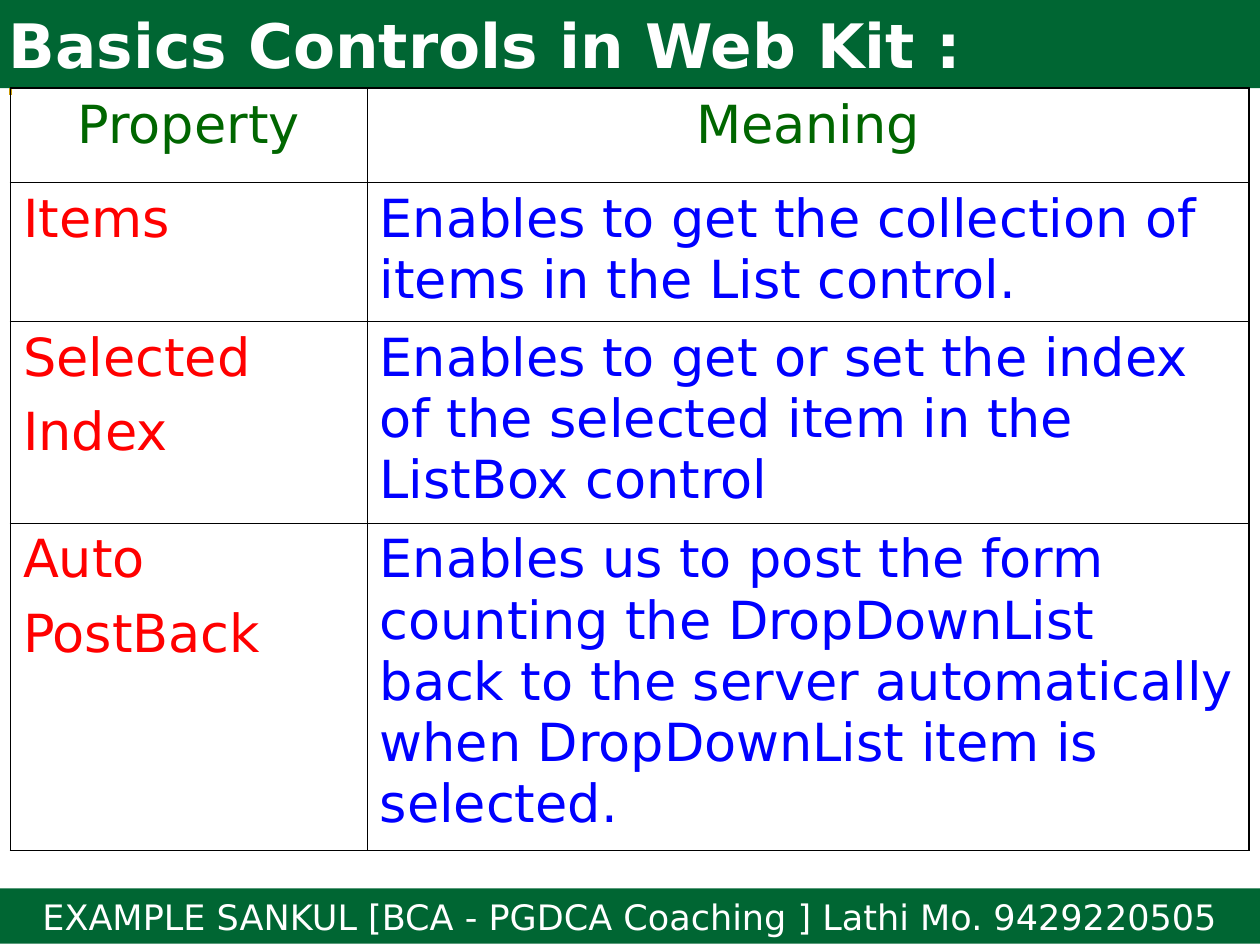
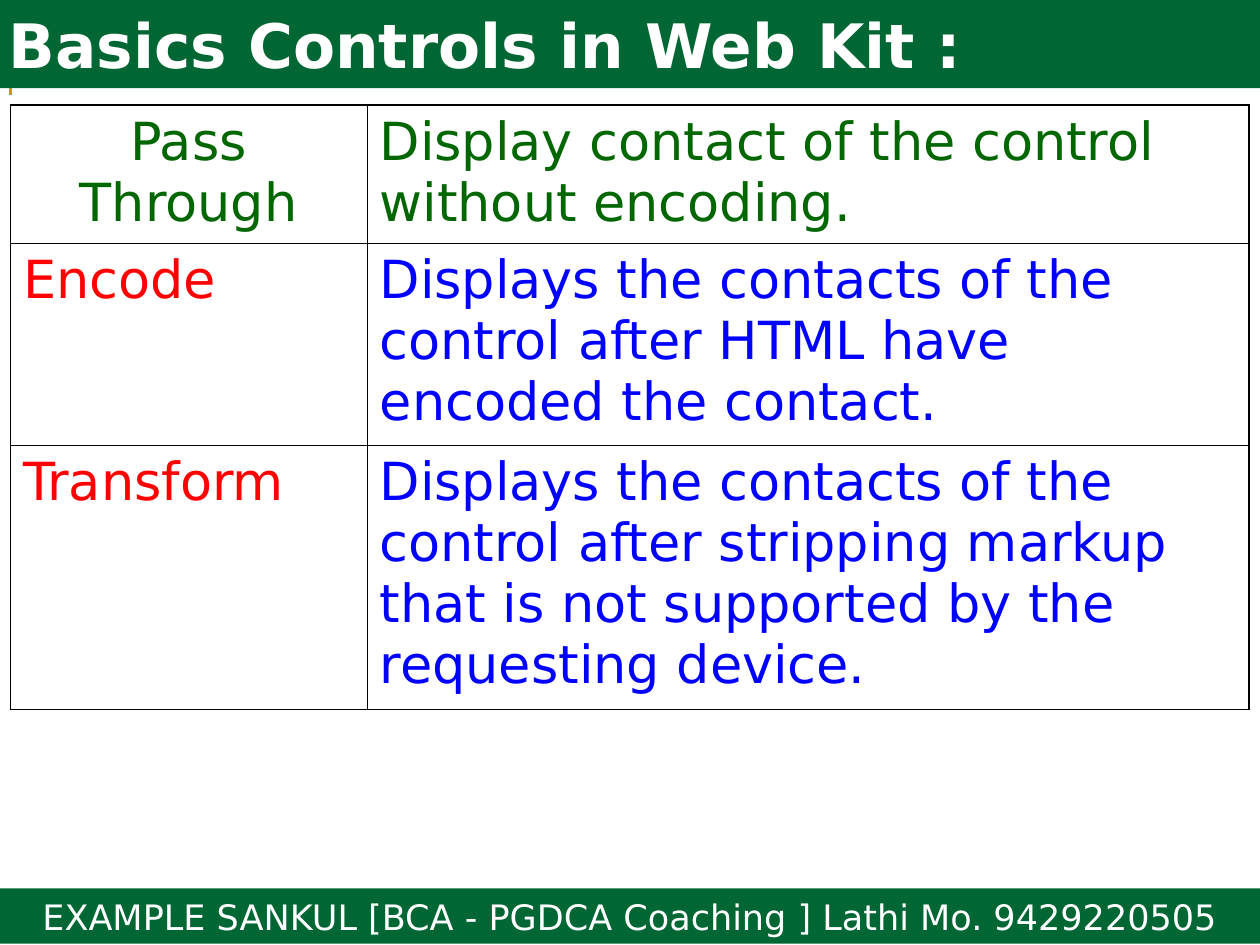
from pptx import Presentation
from pptx.dml.color import RGBColor
from pptx.enum.shapes import MSO_SHAPE
from pptx.enum.text import MSO_ANCHOR, PP_ALIGN
from pptx.oxml import parse_xml
from pptx.oxml.ns import nsdecls
from pptx.util import Pt

COLORS = {"band": "006633", "frame": "CC9900", "white": "FFFFFF",
          "heading": "006600", "name": "FF0000", "meaning": "0000FF",
          "border": "000000"}
FONT = "DejaVu Sans"
TITLE = "Basics Controls in Web Kit :"
FOOTER = "EXAMPLE SANKUL [BCA - PGDCA Coaching ] Lathi Mo. 9429220505"
THICK, THIN = 1.08, 0.45
COLUMNS = [203.8, 504]

# Per slide: table top, bottom border, row heights, first row alignments, rows
SLIDES = [
    (50.4, THICK, [54, 79.2, 115.2, 187.2], [PP_ALIGN.CENTER, PP_ALIGN.CENTER], [
        ("Property", "Meaning"),
        ("Items", "Enables to get the collection of items in the List control."),
        ("Selected\nIndex", "Enables to get or set the index of the selected item "
                            "in the ListBox control"),
        ("Auto\nPostBack", "Enables us to post the form counting the DropDownList back "
                           "to the server automatically when DropDownList item is selected."),
    ]),
    (60, THIN, [79.2, 115.2, 151.2], [PP_ALIGN.CENTER, PP_ALIGN.LEFT], [
        ("Pass Through", "Display contact of the control without encoding."),
        ("Encode", "Displays the contacts of the control after HTML have "
                   "encoded the contact."),
        ("Transform", "Displays the contacts of the control after stripping markup "
                      "that is not supported by the requesting device."),
    ]),
]


def write(tf, text, size, color, align, bold=False):
    tf.text = text
    for i, p in enumerate(tf.paragraphs):
        p.alignment = align
        if i:
            p.space_before = Pt(7.5)
        p.font.name, p.font.size, p.font.bold = FONT, Pt(size), bold
        p.font.color.rgb = RGBColor.from_string(COLORS[color])


def add_band(s, top, height, text, size, align, bold, inset):
    sp = s.shapes.add_shape(MSO_SHAPE.RECTANGLE, 0, Pt(top), prs.slide_width, Pt(height))
    sp.shadow.inherit = False
    sp.fill.solid()
    sp.fill.fore_color.rgb = RGBColor.from_string(COLORS["band"])
    sp.line.fill.background()
    tf = sp.text_frame
    tf.word_wrap = True
    tf.vertical_anchor = MSO_ANCHOR.MIDDLE
    tf.margin_left = tf.margin_right = Pt(inset)
    write(tf, text, size, "white", align, bold)


prs = Presentation()
prs.slide_width, prs.slide_height = Pt(720), Pt(540)

for top, bottom_border, heights, first_aligns, rows in SLIDES:
    s = prs.slides.add_slide(prs.slide_layouts[6])

    # Footer band, corner frame and title band
    add_band(s, 507.6, 31.7, FOOTER, 20, PP_ALIGN.CENTER, False, 7.2)
    builder = s.shapes.build_freeform(Pt(6), Pt(54))
    builder.add_line_segments([(Pt(6), Pt(6)), (Pt(708), Pt(6))], close=False)
    frame = builder.convert_to_shape()
    frame.shadow.inherit = False
    frame.fill.background()
    frame.line.color.rgb = RGBColor.from_string(COLORS["frame"])
    frame.line.width = Pt(2.25)
    add_band(s, 0, 50.4, TITLE, 35, PP_ALIGN.LEFT, True, 5)

    # Property table
    table = s.shapes.add_table(len(rows), len(COLUMNS), Pt(6), Pt(top),
                               Pt(sum(COLUMNS)), Pt(sum(heights))).table
    table.first_row = table.horz_banding = False
    for column, width in zip(table.columns, COLUMNS):
        column.width = Pt(width)
    for r, texts in enumerate(rows):
        table.rows[r].height = Pt(heights[r])
        for c, text in enumerate(texts):
            cell = table.cell(r, c)
            color = "heading" if r == 0 else ("name", "meaning")[c]
            write(cell.text_frame, text, 30, color,
                  PP_ALIGN.LEFT if r else first_aligns[c])

            # Thick outer and thin inner borders
            borders = {"L": THIN if c else THICK,
                       "R": THICK if c else THIN,
                       "T": THIN if r else THICK,
                       "B": bottom_border if r == len(rows) - 1 else THIN}
            for side, width in borders.items():
                cell._tc.get_or_add_tcPr().append(parse_xml(
                    f'<a:ln{side} {nsdecls("a")} w="{Pt(width)}"><a:solidFill>'
                    f'<a:srgbClr val="{COLORS["border"]}"/></a:solidFill></a:ln{side}>'))
            cell.fill.background()

prs.save("out.pptx")
